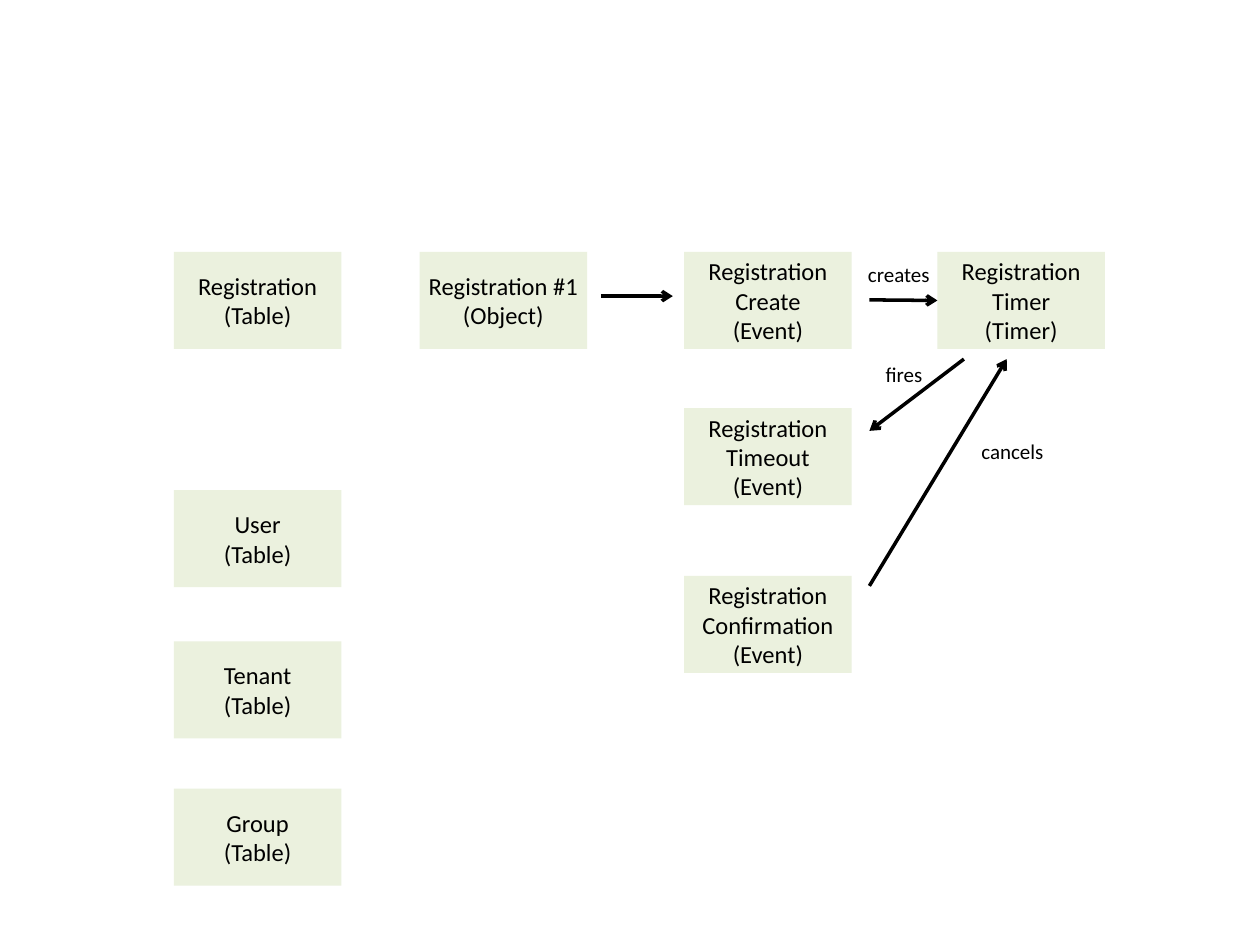
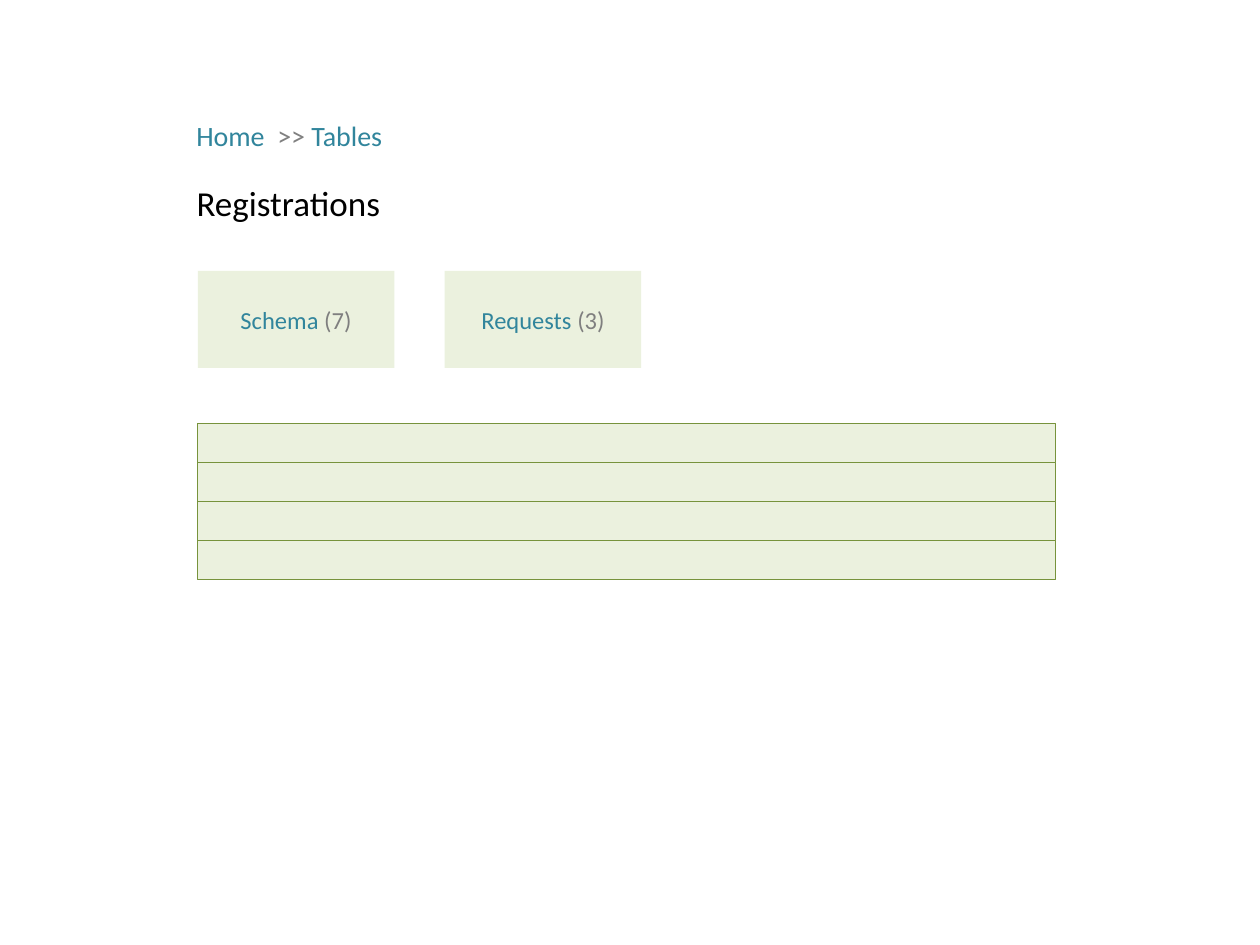
from dataclasses import dataclass

from lxml import etree
from pptx import Presentation
from pptx.dml.color import RGBColor
from pptx.enum.shapes import MSO_CONNECTOR, MSO_SHAPE
from pptx.enum.text import MSO_ANCHOR, MSO_AUTO_SIZE, PP_ALIGN
from pptx.oxml.ns import qn
from pptx.util import Inches, Pt

RECTANGLE = MSO_SHAPE.RECTANGLE
STRAIGHT = MSO_CONNECTOR.STRAIGHT
TOP, MIDDLE = MSO_ANCHOR.TOP, MSO_ANCHOR.MIDDLE
LEFT, CENTER = PP_ALIGN.LEFT, PP_ALIGN.CENTER
FIT_SHAPE = MSO_AUTO_SIZE.SHAPE_TO_FIT_TEXT
LEFT_SIDE = 1


@dataclass(frozen=True)
class Theme:
    font: str = "Calibri"
    ink: RGBColor = RGBColor(0, 0, 0)
    link: RGBColor = RGBColor.from_string("31859C")
    separator: RGBColor = RGBColor.from_string("808080")
    count: RGBColor = RGBColor.from_string("7F7F7F")
    box: RGBColor = RGBColor.from_string("EBF1DE")
    border: RGBColor = RGBColor.from_string("77933C")
    title_size: int = 20
    path_size: int = 16
    box_size: int = 14
    label_size: int = 12
    arrow_width: float = 2
    border_width: float = 0.75


theme = Theme()
LABEL_FORMAT = {"word_wrap": False, "auto_size": FIT_SHAPE, "vertical_anchor": TOP}
BOX_FORMAT = {"word_wrap": True, "vertical_anchor": MIDDLE, "margin_left": 0,
              "margin_right": 0, "margin_top": 0, "margin_bottom": 0}


def write_text(shape, lines, size, alignment, frame_format):
    frame = shape.text_frame
    for name, value in frame_format.items():
        setattr(frame, name, value)
    for index, line in enumerate(lines):
        paragraph = frame.add_paragraph() if index else frame.paragraphs[0]
        paragraph.alignment = alignment
        for text, color in line:
            run = paragraph.add_run()
            run.text = text
            for name, value in {"name": theme.font, "size": Pt(size)}.items():
                setattr(run.font, name, value)
            run.font.color.rgb = color


def add_box(slide, left, top, width, height, lines=()):
    shape = slide.shapes.add_shape(
        RECTANGLE, Inches(left), Inches(top), Inches(width), Inches(height))
    shape.shadow.inherit = False
    shape.fill.solid()
    shape.fill.fore_color.rgb = theme.box
    shape.line.fill.background()
    write_text(shape, lines, theme.box_size, CENTER, BOX_FORMAT)
    return shape


presentation = Presentation()
presentation.slide_width = Inches(10)
presentation.slide_height = Inches(7.5)
title_layout, blank_layout = presentation.slide_layouts[5], presentation.slide_layouts[6]
box_height = 0.77

flow_slide = presentation.slides.add_slide(blank_layout)
node_width = 1.33
columns = {"table": 1.38, "object": 3.33, "event": 5.43, "timer": 7.44}
rows = {"registration": 2, "timeout": 3.24, "user": 3.89,
        "confirmation": 4.57, "tenant": 5.09, "group": 6.26}
nodes = [
    ("table", "registration", "Registration", "(Table)"),
    ("object", "registration", "Registration #1", "(Object)"),
    ("event", "confirmation", "Registration", "Confirmation", "(Event)"),
    ("event", "timeout", "Registration", "Timeout", "(Event)"),
    ("timer", "registration", "Registration", "Timer", "(Timer)"),
    ("event", "registration", "Registration", "Create", "(Event)"),
    ("table", "user", "User", "(Table)"),
    ("table", "tenant", "Tenant", "(Table)"),
    ("table", "group", "Group", "(Table)"),
]
boxes = {}
for column, row, *lines in nodes:
    boxes[column, row] = add_box(
        flow_slide, columns[column], rows[row], node_width, box_height,
        [[(line, theme.ink)] for line in lines])

timer_box = boxes["timer", "registration"]
event_exit = 6.9
timer_base = 2.85
arrows = [
    (4.77, 2.35, 5.34, 2.35, None),
    (event_exit, 2.38, columns["timer"], 2.38, timer_box),
    (7.65, timer_base, event_exit, 3.42, None),
    (event_exit, 4.65, 7.99, timer_base, None),
]
for start_x, start_y, end_x, end_y, target in arrows:
    arrow = flow_slide.shapes.add_connector(
        STRAIGHT, Inches(start_x), Inches(start_y), Inches(end_x), Inches(end_y))
    if target is not None:
        arrow.end_connect(target, LEFT_SIDE)
    arrow.line.color.rgb = theme.ink
    arrow.line.width = Pt(theme.arrow_width)
    etree.SubElement(arrow.line._get_or_add_ln(), qn("a:tailEnd"), type="arrow")
    etree.SubElement(arrow._element.spPr, qn("a:effectLst"))

for text, left, top, width in [
    ("cancels", 7.69, 3.43, 0.71),
    ("fires", 6.93, 2.82, 0.51),
    ("creates", 6.79, 2.03, 0.71),
]:
    label = flow_slide.shapes.add_textbox(
        Inches(left), Inches(top), Inches(width), Inches(0.3))
    write_text(label, [[(text, theme.ink)]], theme.label_size, LEFT, LABEL_FORMAT)

table_slide = presentation.slides.add_slide(title_layout)
text_left, content_left = 1.46, 1.57
breadcrumb = table_slide.shapes.add_textbox(
    Inches(text_left), Inches(0.89), Inches(1.71), Inches(0.37))
write_text(breadcrumb,
           [[("Home", theme.link), ("  >> ", theme.separator), ("Tables", theme.link)]],
           theme.path_size, LEFT, LABEL_FORMAT)

title = table_slide.shapes.title
title_place = {"left": text_left, "top": 1.39, "width": 1.69, "height": 0.44}
for name, value in title_place.items():
    setattr(title, name, Inches(value))
write_text(title, [[("Registrations", theme.ink)]], theme.title_size, LEFT, LABEL_FORMAT)

tab_width, tab_pitch = 1.56, 1.96
for index, (text, count) in enumerate([("Schema", " (7)"), ("Requests ", "(3)")]):
    add_box(table_slide, content_left + index * tab_pitch, 2.15, tab_width, box_height,
            [[(text, theme.link), (count, theme.count)]])

row_count, row_height = 4, 0.31
for index in range(row_count):
    row_box = add_box(table_slide, content_left, 3.36 + index * row_height, 6.81, row_height)
    row_box.line.color.rgb = theme.border
    row_box.line.width = Pt(theme.border_width)

presentation.save("out.pptx")
